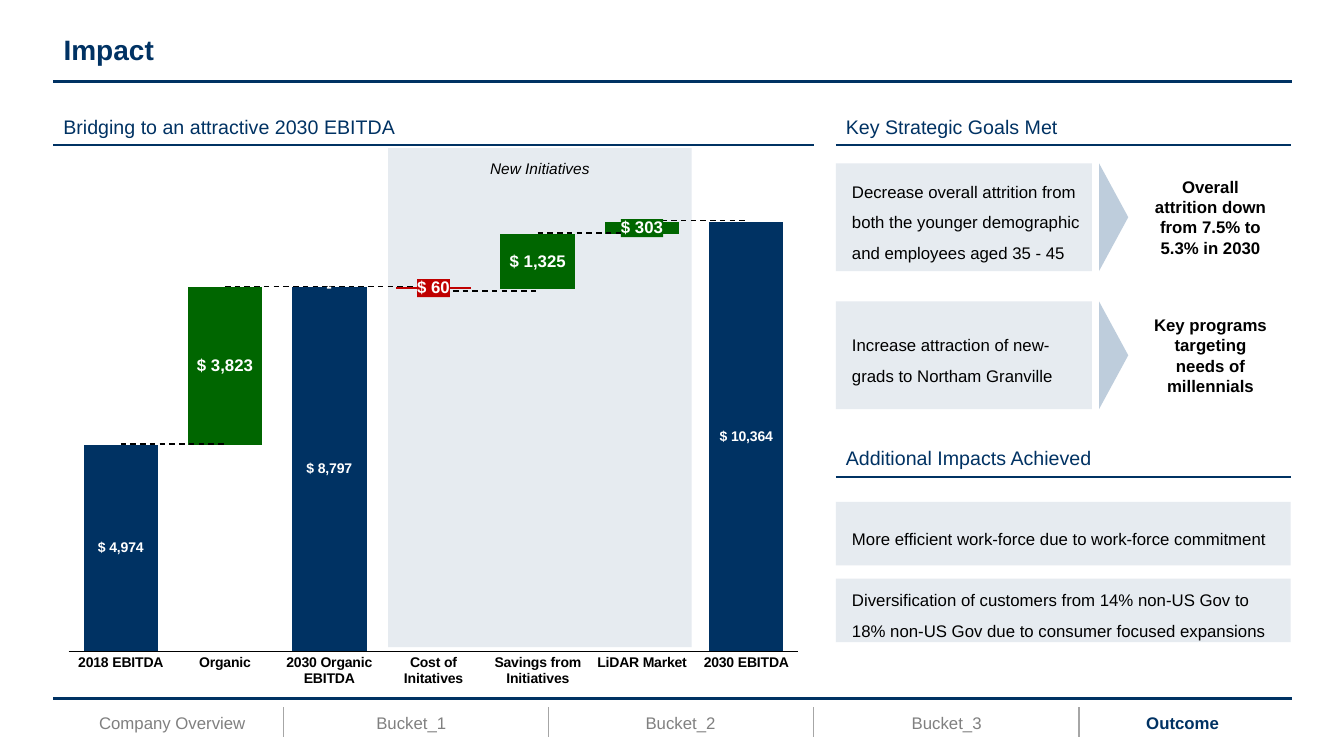
import copy
import dataclasses

import pptx
import pptx.chart.data
import pptx.dml.color
import pptx.enum.chart
import pptx.enum.dml
import pptx.enum.shapes
import pptx.enum.text
import pptx.oxml
import pptx.oxml.ns
import pptx.util

Inches = pptx.util.Inches
Align = pptx.enum.text.PP_ALIGN
Shape = pptx.enum.shapes.MSO_SHAPE
MONEY = '"$"\\ #,##0;\\("$"\\ #,##0\\);\\-'


@dataclasses.dataclass(frozen=True)
class Theme:
    """Colours, font and type sizes of the slide."""
    font: str = "Arial"
    navy: str = "003263"
    panel: str = "E6EBF0"
    arrow: str = "BECDDC"
    green: str = "006600"
    red: str = "C00000"
    grey: str = "808080"
    divider: str = "A6A6A6"
    black: str = "000000"
    white: str = "FFFFFF"
    title: int = 20
    heading: int = 14
    body: int = 12
    note: int = 11
    small: int = 10


THEME = Theme()


def rgb(code):
    """Return a colour object for a hex code."""
    return pptx.dml.color.RGBColor.from_string(code)


def apply(target, **values):
    """Set each named attribute on the target."""
    for name, value in values.items():
        setattr(target, name, value)


def style_font(font, size, color, **values):
    """Give a font the theme typeface, a size and a colour."""
    apply(font, name=THEME.font, size=pptx.util.Pt(size), **values)
    font.color.rgb = rgb(color)


def write(shape, text, size, color, align=Align.LEFT, spacing=1.0, inset=0.1, **values):
    """Write one formatted paragraph into a shape."""
    frame = shape.text_frame
    apply(frame, word_wrap=True, vertical_anchor=pptx.enum.text.MSO_ANCHOR.MIDDLE,
          auto_size=pptx.enum.text.MSO_AUTO_SIZE.NONE, margin_left=Inches(inset),
          margin_right=Inches(0.1), margin_top=Inches(0.05), margin_bottom=Inches(0.05))
    para = frame.paragraphs[0]
    apply(para, alignment=align, line_spacing=spacing)
    span = para.add_run()
    span.text = text
    style_font(span.font, size, color, **values)


def add_text(page, box, text, size, color, **values):
    """Add a text box at left, top, width, height."""
    write(page.shapes.add_textbox(*map(Inches, box)), text, size, color, **values)


def add_block(page, box, kind, color):
    """Add a plain filled shape."""
    shape = page.shapes.add_shape(kind, *map(Inches, box))
    shape.shadow.inherit = False
    shape.fill.solid()
    shape.fill.fore_color.rgb = rgb(color)
    shape.line.fill.background()
    return shape


def add_rule(page, start, end, color, width):
    """Add a straight line without a shadow."""
    rule = page.shapes.add_connector(
        pptx.enum.shapes.MSO_CONNECTOR.STRAIGHT, *map(Inches, (*start, *end)))
    rule.line.color.rgb = rgb(color)
    rule.line.width = pptx.util.Pt(width)
    rule._element.spPr.append(pptx.oxml.parse_xml(
        f'<a:effectLst {pptx.oxml.ns.nsdecls("a")}/>'))


def add_heading(page, left, top, width, text):
    """Add a section heading underlined across its width."""
    add_text(page, (left, top, width, 0.37), text, THEME.heading, THEME.navy)
    add_rule(page, (left, top + 0.37), (left + width, top + 0.37), THEME.navy, 1.5)


def add_panel(page, box, text):
    """Add a pale panel with widely spaced text."""
    panel = add_block(page, box, Shape.RECTANGLE, THEME.panel)
    write(panel, text, THEME.body, THEME.black, spacing=1.5, inset=0.16)


def add_goal(page, left, top, goal, result):
    """Add a goal panel, an arrowhead and the result beside it."""
    height, depth = 1.07, 0.29
    add_panel(page, (left, top, 2.54, height), goal)
    arrow = add_block(page, (left + 2.22, top + (height - depth) / 2, height, depth),
                      Shape.ISOSCELES_TRIANGLE, THEME.arrow)
    arrow.rotation = 90
    add_text(page, (left + 2.98, top, 1.41, height), result, THEME.body, THEME.black,
             align=Align.CENTER, inset=0.16, bold=True)


def chart_xml(text):
    """Build a chart element from its markup."""
    head, tail = text.split(">", 1)
    slash = "/" if head.endswith("/") else ""
    return pptx.oxml.parse_xml(
        f'{head.rstrip("/")} {pptx.oxml.ns.nsdecls("c", "a")}{slash}>{tail}')


def move_to_lines(chart, first):
    """Move the series from the given index on into a line plot on the same axes."""
    bars = chart._chartSpace.xpath(".//c:barChart")[0]
    lines = chart_xml('<c:lineChart><c:grouping val="standard"/>'
                      '<c:varyColors val="0"/></c:lineChart>')
    for series in bars.xpath("./c:ser")[first:]:
        for flag in series.xpath("./c:invertIfNegative"):
            series.remove(flag)
        lines.append(series)
    lines.append(chart_xml('<c:marker val="1"/>'))
    for axis in bars.xpath("./c:axId"):
        lines.append(copy.deepcopy(axis))
    bars.addnext(lines)


def label_point(series, index, size, fill=None):
    """Show a white value label on one bar, with an optional backing."""
    label = series.points[index].data_label
    style_font(label.font, size, THEME.white, bold=True)
    label.position = pptx.enum.chart.XL_LABEL_POSITION.CENTER
    text = series._element.xpath(f"./c:dLbls/c:dLbl[c:idx/@val='{index}']/c:txPr")[0]
    number = chart_xml('<c:numFmt sourceLinked="0"/>')
    number.set("formatCode", MONEY)
    text.addprevious(number)
    if fill:
        text.addprevious(chart_xml(f'<c:spPr><a:solidFill><a:srgbClr val="{fill}"/>'
                                   '</a:solidFill></c:spPr>'))


def paint(target, color):
    """Fill a bar or bar series, or leave it clear."""
    if color:
        target.format.fill.solid()
        target.format.fill.fore_color.rgb = rgb(color)
    else:
        target.format.fill.background()


def place_plot(chart):
    """Fix the plot area and make the chart backgrounds clear."""
    plot = chart._chartSpace.xpath("./c:chart/c:plotArea")[0]
    for layout in plot.xpath("./c:layout"):
        plot.remove(layout)
    sizes = "".join(f'<c:{name} val="{value}"/>' for name, value in
                    (("x", 0.02), ("y", 0.02), ("w", 0.96), ("h", 0.9)))
    plot.insert(0, chart_xml(
        '<c:layout><c:manualLayout><c:layoutTarget val="inner"/><c:xMode val="edge"/>'
        f'<c:yMode val="edge"/>{sizes}</c:manualLayout></c:layout>'))
    clear = "<c:spPr><a:noFill/><a:ln><a:noFill/></a:ln></c:spPr>"
    plot.append(chart_xml(clear))
    chart._chartSpace.xpath("./c:txPr")[0].addprevious(chart_xml(clear))


def add_bridge(page, left, top, width, height):
    """Add the EBITDA bridge: stacked bars joined by dashed lines."""
    data = pptx.chart.data.CategoryChartData(number_format=MONEY)
    data.categories = ["2018 EBITDA", "Organic", "2030 Organic EBITDA", "Cost of Initatives",
                       "Savings from Initiatives", "LiDAR Market", "2030 EBITDA"]
    data.add_series("Series 1", (4974, 4974, 8797, 8737, 8737, 10061, 10364))
    data.add_series("Series 2", (None, 3823, 0, 60, 1325, 303, None))
    for start, level in enumerate((5000, 8800, 8800, 8700, 10100, 10400)):
        data.add_series(f"Series {start + 3}",
                        [level if spot in (start, start + 1) else None for spot in range(7)])
    chart = page.shapes.add_chart(pptx.enum.chart.XL_CHART_TYPE.COLUMN_STACKED,
                                  *map(Inches, (left, top, width, height)), data).chart
    apply(chart, has_title=False, has_legend=False)
    style_font(chart.font, THEME.small, THEME.black)
    apply(chart.value_axis, minimum_scale=0, maximum_scale=12000,
          has_major_gridlines=False, visible=False)
    axis = chart.category_axis
    axis.major_tick_mark = pptx.enum.chart.XL_TICK_MARK.NONE
    style_font(axis.tick_labels.font, THEME.small, THEME.black, bold=True)
    axis.format.line.color.rgb = rgb(THEME.black)
    axis.format.line.width = pptx.util.Pt(0.75)
    move_to_lines(chart, 2)
    bars, lines = chart.plots
    apply(bars, gap_width=40, overlap=100, vary_by_categories=False)
    base, change = bars.series
    paint(base, THEME.navy)
    paint(change, THEME.red)
    base.data_labels.show_value = False
    apply(change.data_labels, show_value=True, number_format=MONEY,
          number_format_is_linked=False)
    style_font(change.data_labels.font, THEME.body, THEME.white, bold=True)
    for index in (1, 3, 4, 5):
        paint(base.points[index], None)
    for index in (1, 4, 5):
        paint(change.points[index], THEME.green)
    for index in (0, 2, 6):
        label_point(base, index, THEME.small)
    for index, fill in ((3, THEME.red), (5, THEME.green)):
        label_point(change, index, THEME.body, fill)
    for series in lines.series:
        series.smooth = False
        series.marker.style = pptx.enum.chart.XL_MARKER_STYLE.NONE
        series.format.line.color.rgb = rgb(THEME.black)
        apply(series.format.line, width=pptx.util.Pt(1),
              dash_style=pptx.enum.dml.MSO_LINE.DASH)
    place_plot(chart)


def add_title(page, left, top, width):
    """Format the title placeholder and rule it off."""
    title = page.shapes.title
    apply(title, left=Inches(left), top=Inches(top), width=Inches(width), height=Inches(0.4))
    write(title, "Impact", THEME.title, THEME.navy, spacing=0.9, bold=True)
    add_rule(page, (left, top + 0.5), (left + width, top + 0.5), THEME.navy, 2.25)


def add_bridge_region(page, left, top, width):
    """Add the bridge with its heading and highlighted initiatives."""
    add_block(page, (left + 3.32, top + 0.4, 3.01, 4.95), Shape.RECTANGLE, THEME.panel)
    add_bridge(page, left, top + 0.35, width, 5.48)
    add_heading(page, left, top, width, "Bridging to an attractive 2030 EBITDA")
    add_text(page, (left + 3.32, top + 0.42, 3.01, 0.37), "New Initiatives", THEME.note,
             THEME.black, align=Align.CENTER, italic=True)


def add_goals_region(page, left, top, width):
    """Add the strategic goals and the additional impacts."""
    add_heading(page, left, top, width, "Key Strategic Goals Met")
    goals = (("Decrease overall attrition from both the younger demographic and employees "
              "aged 35 - 45", "Overall attrition down from 7.5% to 5.3% in 2030"),
             ("Increase attraction of new-grads to Northam Granville",
              "Key programs targeting needs of millennials"))
    for index, (goal, result) in enumerate(goals):
        add_goal(page, left, top + 0.55 + 1.37 * index, goal, result)
    add_heading(page, left, top + 3.29, width, "Additional Impacts Achieved")
    impacts = ("More efficient work-force due to work-force commitment",
               "Diversification of customers from 14% non-US Gov to 18% non-US Gov due to "
               "consumer focused expansions")
    for index, impact in enumerate(impacts):
        add_panel(page, (left, top + 3.91 + 0.76 * index, width, 0.63), impact)


def add_footer(page, left, top, width):
    """Add the section tracker with the current section in bold."""
    add_rule(page, (left, top), (left + width, top), THEME.navy, 2.25)
    sections = (("Company Overview", -0.2), ("Bucket_1", 2.17), ("Bucket_2", 4.84),
                ("Bucket_3", 7.48), ("Outcome", 9.82))
    for index, (name, offset) in enumerate(sections):
        current = name == "Outcome"
        add_text(page, (left + offset, top + 0.09, 2.76, 0.3), name, THEME.body,
                 THEME.navy if current else THEME.grey, align=Align.CENTER, bold=current)
        if index:
            edge = left + 2.28 + 2.63 * (index - 1)
            add_rule(page, (edge, top + 0.38), (edge, top + 0.08), THEME.divider, 1)


def main():
    """Build and save the slide."""
    deck = pptx.Presentation()
    apply(deck, slide_width=Inches(13.33), slide_height=Inches(7.5))
    page = deck.slides.add_slide(deck.slide_layouts[5])
    add_title(page, 0.53, 0.31, 12.28)
    add_bridge_region(page, 0.53, 1.07, 7.54)
    add_goals_region(page, 8.29, 1.07, 4.51)
    add_footer(page, 0.53, 6.93, 12.28)
    deck.save("out.pptx")


if __name__ == "__main__":
    main()
